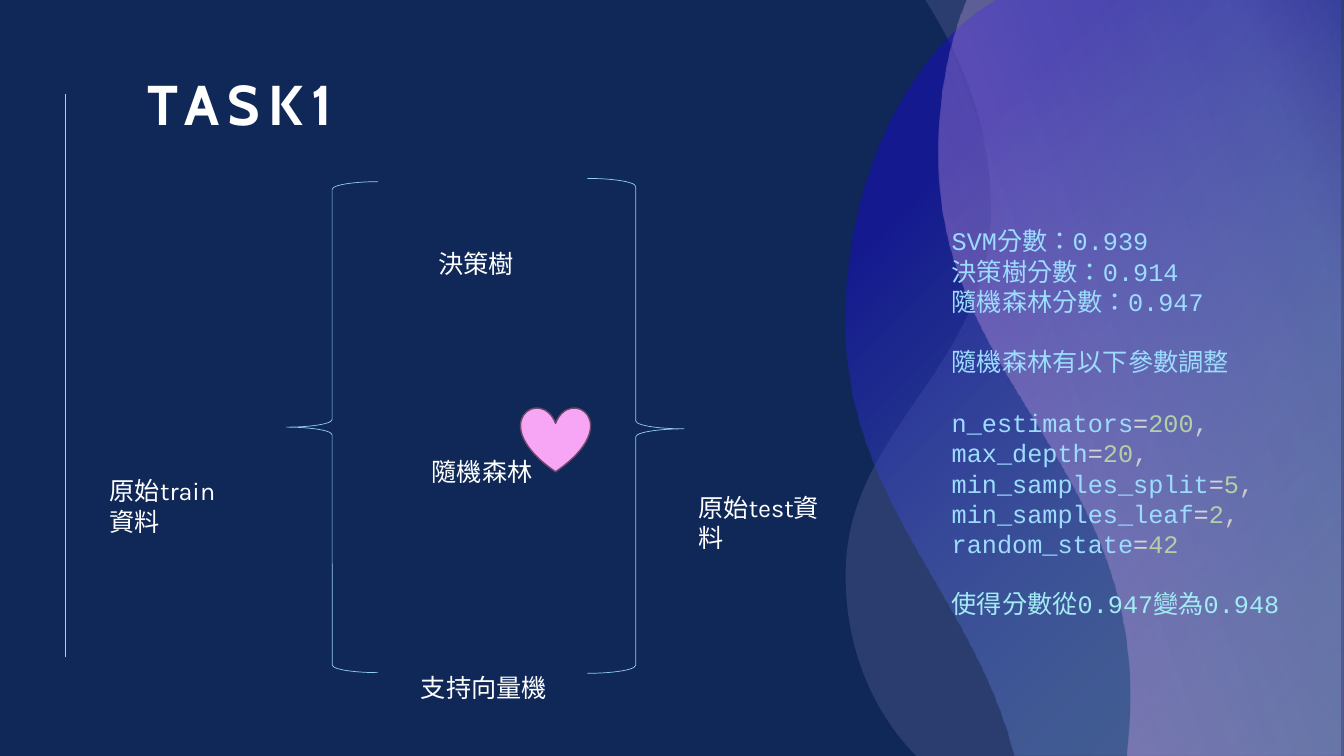
from lxml import etree
from pptx import Presentation
from pptx import util as u
from pptx.dml.color import RGBColor
from pptx.enum import shapes, text
from pptx.oxml import parse_xml
from pptx.oxml.ns import nsdecls, qn

THEME = {
    "navy": "102857", "white": "FFFFFF", "pink": "F6A6F4", "plum": "6C496B",
    "lilac": "C3B9F2", "sky": "92CDF0", "indigo": "180DC2", "aqua": "A2ECF4",
    "name": "9CDCFE", "equals": "D4D4D4", "number": "B5CEA8", "comma": "CCCCCC",
    "title_size": 40, "text_size": 18,
    "title_font": "Cabin", "label_font": "Karla", "code_font": "Courier New",
}
COL = ROW = u.Inches(1 / 3)  # 40 columns by 22.5 rows
UNITS = 1000  # freeform units per grid cell


def place(left, top, width, height):
    return [round(n * COL) for n in (left, top, width, height)]


def add_span(para, words, font, color, size=THEME["text_size"]):
    span = para.add_run()
    span.text = words
    span.font.name = font
    span.font.size = u.Pt(size)
    span.font.color.rgb = RGBColor.from_string(THEME[color])
    span._r.get_or_add_rPr().set("lang", "zh-TW")
    return span


deck = Presentation()
deck.slide_width, deck.slide_height = 40 * COL, round(22.5 * ROW)
page = deck.slides.add_slide(deck.slide_layouts[5])
page.background.fill.solid()
page.background.fill.fore_color.rgb = RGBColor.from_string(THEME["navy"])

# Vertical rule
rule = page.shapes.add_connector(
    shapes.MSO_CONNECTOR.STRAIGHT,
    *place(1.95, 2.79, 1.95, 19.56))
rule.line.color.rgb = RGBColor.from_string(THEME["pink"])
rule.line.width = u.Pt(0.5)
etree.SubElement(rule._element.spPr, qn("a:effectLst"))

# Waves: outline (points and Bézier triples), stops (position, colour, opacity), shading
waves = [
    ([(27.54, 0), (40, 0), (40, 22.5), (27.27, 22.5), (27.24, 22.47),
      (26.1, 21.3, 25.14, 19.44, 25.17, 17.04),
      (25.2, 12.81, 29.4, 10.98, 29.49, 6.45),
      (29.55, 3.63, 28.5, 1.56, 27.6, 0.09)],
     [(0, "lilac", 14), (100, "lilac", 14)],
     '<a:lin ang="0" scaled="0"/>'),
    ([(29.64, 0), (39.9, 0), (39.9, 22.5), (30.18, 22.5), (30.03, 21.93),
      (28.68, 17.49, 25.2, 14.76, 25.17, 9.66),
      (25.14, 4.95, 27.27, 1.65, 29.19, 0.3)],
     [(4, "sky", 24), (79, "indigo", 52)],
     '<a:path path="circle"><a:fillToRect l="100000" t="100000"/></a:path>'),
    ([(28.77, 0), (40, 0), (40, 22.5), (33.54, 22.5), (33.6, 21.63),
      (33.63, 21.24, 33.63, 20.82, 33.63, 20.43),
      (33.51, 13.74, 27.96, 11.04, 27.93, 4.77),
      (27.9, 3.18, 28.14, 1.77, 28.56, 0.54)],
     [(1, "pink", 38), (84, "lilac", 20), (100, "pink", 3)],
     '<a:lin ang="20400000" scaled="0"/>'),
]
for outline, stops, shading in waves:
    corners = [(step[-2] * UNITS, step[-1] * UNITS) for step in outline]
    builder = page.shapes.build_freeform(*corners[0], scale=COL / UNITS)
    builder.add_line_segments(corners[1:], close=True)
    wave = builder.convert_to_shape()
    properties = wave._element.spPr

    # Turn the straight segments of curved steps into Bézier segments
    left = min(x for x, y in corners)
    top = min(y for x, y in corners)
    segments = list(properties.iter(qn("a:lnTo")))
    for step, segment in zip(outline[1:], segments):
        if len(step) == 6:
            curve = etree.Element(qn("a:cubicBezTo"))
            for x, y in zip(step[::2], step[1::2]):
                etree.SubElement(curve, qn("a:pt"), x=str(round(x * UNITS - left)),
                                 y=str(round(y * UNITS - top)))
            segment.getparent().replace(segment, curve)

    wave.shadow.inherit = False
    wave.line.fill.background()
    wave.fill.solid()
    stop_xml = "".join(
        f'<a:gs pos="{at * 1000}"><a:srgbClr val="{THEME[color]}">'
        f'<a:alpha val="{opacity * 1000}"/></a:srgbClr></a:gs>'
        for at, color, opacity in stops)
    properties.replace(properties.find(qn("a:solidFill")), parse_xml(
        f'<a:gradFill {nsdecls("a")}><a:gsLst>{stop_xml}</a:gsLst>{shading}</a:gradFill>'))

# Title
title = page.shapes.title
title.left, title.top, title.width, title.height = place(4.1, 0.75, 29.13, 3.51)
title.text_frame.vertical_anchor = text.MSO_ANCHOR.BOTTOM
para = title.text_frame.paragraphs[0]
para.alignment = text.PP_ALIGN.LEFT
para.line_spacing = 0.9
span = add_span(para, "TASK1", THEME["title_font"], "white", THEME["title_size"])
span.font.bold = True
span._r.get_or_add_rPr().set("spc", "600")

# Data and model labels
for words, left, top, width, height in [
    ("原始train資料", 2.97, 14.01, 4.38, 1),
    ("決策樹", 12.76, 7.24, 2.88, 1.2),
    ("隨機森林", 12.55, 13.44, 3.63, 1.2),
    ("支持向量機", 12.23, 19.86, 4.38, 1.2),
    ("原始test資料", 20.49, 14.5, 4.77, 1.2),
]:
    box = page.shapes.add_textbox(*place(left, top, width, height))
    box.text_frame.word_wrap = True
    box.text_frame.auto_size = text.MSO_AUTO_SIZE.SHAPE_TO_FIT_TEXT
    add_span(box.text_frame.paragraphs[0], words, THEME["label_font"], "white")

# Braces around the models
KIND = shapes.MSO_SHAPE
for kind, area, fill, line, weight in [
    (KIND.LEFT_BRACE, (8.52, 5.41, 2.73, 14.61), None, "sky", 0.5),
    (KIND.RIGHT_BRACE, (17.48, 5.31, 2.88, 14.73), None, "sky", 0.5),
    (KIND.HEART, (15.5, 12.12, 2.07, 1.92), "pink", "plum", 1),
]:
    shape = page.shapes.add_shape(kind, *place(*area))
    shape.shadow.inherit = False
    shape.line.color.rgb = RGBColor.from_string(THEME[line])
    shape.line.width = u.Pt(weight)
    if fill:
        shape.fill.solid()
        shape.fill.fore_color.rgb = RGBColor.from_string(THEME[fill])
    else:
        shape.fill.background()
    if kind == KIND.RIGHT_BRACE:
        shape.adjustments[1] = 0.506

# Scores and tuned parameters: gap before each group, then its lines
groups = [
    (0, [[("SVM分數：0.939", "name")],
         [("決策樹分數：0.914", "name")],
         [("隨機森林分數：0.947", "name")]]),
    (21, [[("隨機森林有以下參數調整", "name")]]),
    (22.4, [[(name, "name"), ("=", "equals"), (value, "number"), (end, "comma")]
            for name, value, end in [
                ("n_estimators", "200", ","), ("max_depth", "20", ","),
                ("min_samples_split", "5", ","), ("min_samples_leaf", "2", ","),
                ("random_state", "42", "")]]),
    (21.2, [[("使得分數從0.947變為0.948", "aqua")]]),
]
box = page.shapes.add_textbox(*place(28.03, 6.57, 10.47, 13.02))
frame = box.text_frame
frame.word_wrap = True
frame.auto_size = text.MSO_AUTO_SIZE.SHAPE_TO_FIT_TEXT
para = frame.paragraphs[0]
for gap, lines in groups:
    for n, parts in enumerate(lines):
        if gap or n:
            para = frame.add_paragraph()
        if gap and n == 0:
            para.space_before = u.Pt(gap)
        for words, color in parts:
            if words:
                add_span(para, words, THEME["code_font"], color)

deck.save("out.pptx")
